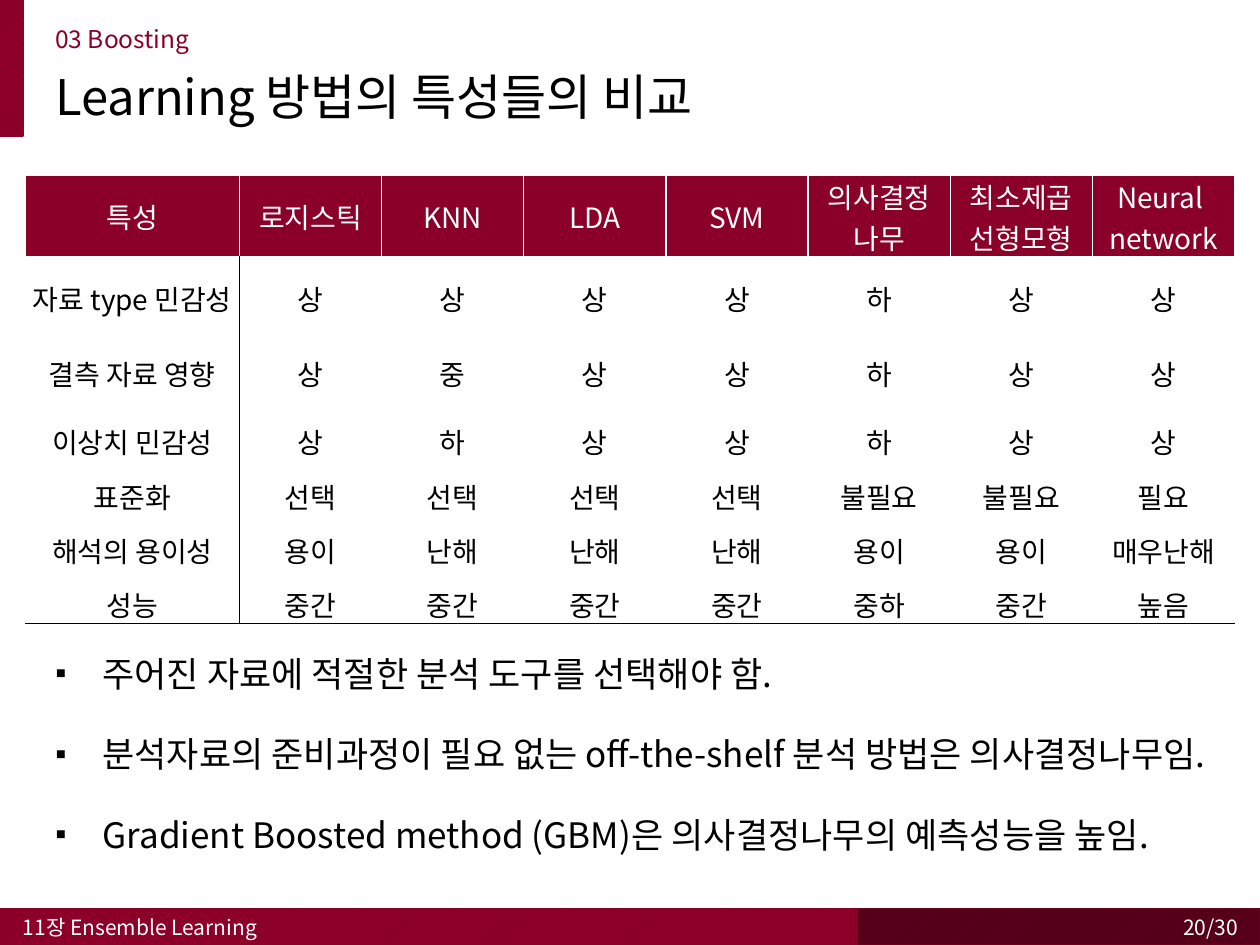
from dataclasses import dataclass

from lxml.etree import SubElement
from pptx import Presentation
from pptx.dml.color import RGBColor
from pptx.enum.dml import MSO_PATTERN
from pptx.enum.shapes import MSO_SHAPE
from pptx.enum.text import MSO_ANCHOR, PP_ALIGN
from pptx.oxml.ns import qn
from pptx.util import Pt


@dataclass(frozen=True)
class Theme:
    font: str = "Noto Sans CJK KR"
    bullet_font: str = "Arial"
    crimson: str = "8B0028"
    crimson_stripe: str = "9E002D"
    wine: str = "540018"
    wine_stripe: str = "68001E"
    black: str = "000000"
    white: str = "FFFFFF"
    title: int = 28
    bullet: int = 20
    table: int = 16
    section: int = 14
    footer: int = 12


THEME = Theme()
PLAIN_TABLE_STYLE = "{2D5ABB26-0587-4C30-8999-92F81FD0307C}"

HEADERS = ["특성", "로지스틱", "KNN", "LDA", "SVM",
           "의사결정\n나무", "최소제곱\n선형모형", "Neural \nnetwork"]
RATINGS = [
    ["자료 type 민감성", "상", "상", "상", "상", "하", "상", "상"],
    ["결측 자료 영향", "상", "중", "상", "상", "하", "상", "상"],
    ["이상치 민감성", "상", "하", "상", "상", "하", "상", "상"],
    ["표준화", "선택", "선택", "선택", "선택", "불필요", "불필요", "필요"],
    ["해석의 용이성", "용이", "난해", "난해", "난해", "용이", "용이", "매우난해"],
    ["성능", "중간", "중간", "중간", "중간", "중하", "중간", "높음"],
]
ROW_HEIGHTS = [46.3, 47.3, 38.9, 38.9, 23, 38.9, 23]
FIRST_COLUMN, OTHER_COLUMN = 122.4, 81.26

CONCLUSIONS = [
    "주어진 자료에 적절한 분석 도구를 선택해야 함.",
    "분석자료의 준비과정이 필요 없는 off-the-shelf 분석 방법은 의사결정나무임.",
    "Gradient Boosted method (GBM)은 의사결정나무의 예측성능을 높임.",
]


def style_paragraph(paragraph, size, color, align=PP_ALIGN.LEFT):
    paragraph.alignment = align
    font = paragraph.font
    font.size = Pt(size)
    font.color.rgb = RGBColor.from_string(color)
    font.name = THEME.font
    defaults = paragraph._p.pPr.find(qn("a:defRPr"))
    defaults.set("kern", "0")
    SubElement(defaults, qn("a:ea"), typeface=THEME.font)


def add_bar(slide, left, top, width, height, stripe, base, outline):
    bar = slide.shapes.add_shape(
        MSO_SHAPE.RECTANGLE, Pt(left), Pt(top), Pt(width), Pt(height))
    bar.shadow.inherit = False
    bar.fill.patterned()
    bar.fill.pattern = MSO_PATTERN.WIDE_UPWARD_DIAGONAL
    bar.fill.fore_color.rgb = RGBColor.from_string(stripe)
    bar.fill.back_color.rgb = RGBColor.from_string(base)
    bar.line.color.rgb = RGBColor.from_string(outline)
    bar.line.width = Pt(1)


def add_text(slide, left, top, width, height, lines, size, color,
             align=PP_ALIGN.LEFT, anchor=MSO_ANCHOR.TOP):
    box = slide.shapes.add_textbox(Pt(left), Pt(top), Pt(width), Pt(height))
    frame = box.text_frame
    frame.word_wrap = True
    frame.vertical_anchor = anchor
    frame.text = "\n".join(lines)
    for paragraph in frame.paragraphs:
        style_paragraph(paragraph, size, color, align)
    return frame


def add_heading(slide, top, height, text, size, color):
    frame = add_text(slide, 24.5, top, 664.6, height, [text], size, color)
    frame.paragraphs[0].line_spacing = 0.9
    frame.paragraphs[0].space_before = Pt(10)


def add_bullets(slide, left, top, width, height, lines):
    frame = add_text(slide, left, top, width, height, lines,
                     THEME.bullet, THEME.black)
    frame.margin_right = 0
    for paragraph in frame.paragraphs:
        paragraph.line_spacing = 1.5
        paragraph.space_before = Pt(10)
        properties = paragraph._p.pPr
        properties.set("marL", str(Pt(27)))
        properties.set("indent", str(-Pt(27)))
        defaults = properties.find(qn("a:defRPr"))
        for tag, name, value in (("a:buSzPct", "val", "90000"),
                                 ("a:buFont", "typeface", THEME.bullet_font),
                                 ("a:buChar", "char", "▪")):
            defaults.addprevious(
                SubElement(properties, qn(tag), {name: value}))


def add_borders(cell, sides, color):
    properties = cell._tc.get_or_add_tcPr()
    for side in "LRTB":
        line = SubElement(properties, qn(f"a:ln{side}"), w=str(Pt(1)))
        if side in sides:
            fill = SubElement(line, qn("a:solidFill"))
            SubElement(fill, qn("a:srgbClr"), val=color)
        else:
            SubElement(line, qn("a:noFill"))


def fill_cell(cell, text, is_header, sides):
    add_borders(cell, sides, THEME.white if is_header else THEME.black)
    if is_header:
        cell.fill.solid()
        cell.fill.fore_color.rgb = RGBColor.from_string(THEME.crimson)
    else:
        cell.fill.background()
    cell.vertical_anchor = MSO_ANCHOR.MIDDLE
    cell.margin_left = cell.margin_right = cell.margin_top = Pt(0.7)
    cell.margin_bottom = 0
    cell.text = text
    for paragraph in cell.text_frame.paragraphs:
        style_paragraph(paragraph, THEME.table,
                        THEME.white if is_header else THEME.black,
                        PP_ALIGN.CENTER)


def add_comparison_table(slide, left, top):
    rows = [HEADERS] + RATINGS
    widths = [FIRST_COLUMN] + [OTHER_COLUMN] * (len(HEADERS) - 1)
    table = slide.shapes.add_table(
        len(rows), len(widths), Pt(left), Pt(top),
        Pt(sum(widths)), Pt(sum(ROW_HEIGHTS))).table
    table.first_row = table.horz_banding = False
    table._tbl.tblPr.find(qn("a:tableStyleId")).text = PLAIN_TABLE_STYLE
    for column, width in zip(table.columns, widths):
        column.width = Pt(width)
    for row, height in zip(table.rows, ROW_HEIGHTS):
        row.height = Pt(height)
    for row_index, texts in enumerate(rows):
        for column_index, text in enumerate(texts):
            is_header = row_index == 0
            sides = "LRT" if is_header else {0: "R", 1: "L"}.get(column_index, "")
            if row_index == len(rows) - 1:
                sides += "B"
            fill_cell(table.cell(row_index, column_index), text, is_header, sides)


def main():
    presentation = Presentation()
    presentation.slide_width, presentation.slide_height = Pt(720), Pt(540)
    slide = presentation.slides.add_slide(presentation.slide_layouts[6])

    crimson = (THEME.crimson_stripe, THEME.crimson, THEME.crimson)
    add_bar(slide, 481, 519.5, 239, 20.5,
            THEME.wine_stripe, THEME.wine, THEME.wine_stripe)
    add_bar(slide, 0, 519.5, 490, 20.5, *crimson)
    add_bar(slide, 0, 0, 13, 77.8, *crimson)

    add_heading(slide, 38, 40.3, "Learning 방법의 특성들의 비교",
                THEME.title, THEME.black)
    add_heading(slide, 12.2, 18.7, "03 Boosting", THEME.section, THEME.crimson)
    add_text(slide, 6, 519.8, 243.4, 20.2, ["11장 Ensemble Learning"],
             THEME.footer, THEME.white, anchor=MSO_ANCHOR.MIDDLE)
    add_bullets(slide, 24.5, 357.1, 689.8, 151.2, CONCLUSIONS)
    add_comparison_table(slide, 14.4, 100.1)
    add_text(slide, 552.6, 519.8, 162, 20.2, ["20/30"], THEME.footer,
             THEME.white, PP_ALIGN.RIGHT, MSO_ANCHOR.MIDDLE)

    presentation.save("out.pptx")


if __name__ == "__main__":
    main()
